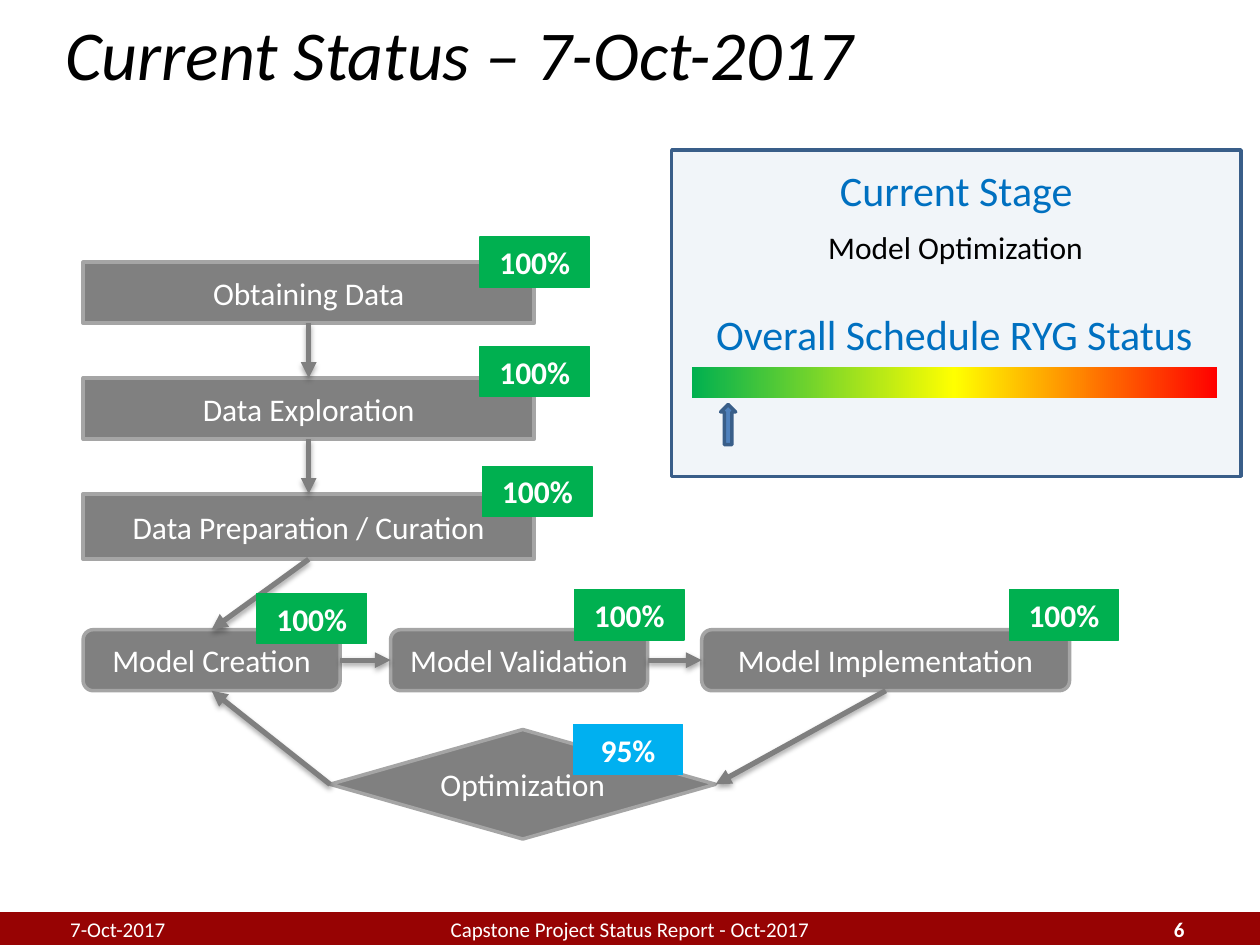
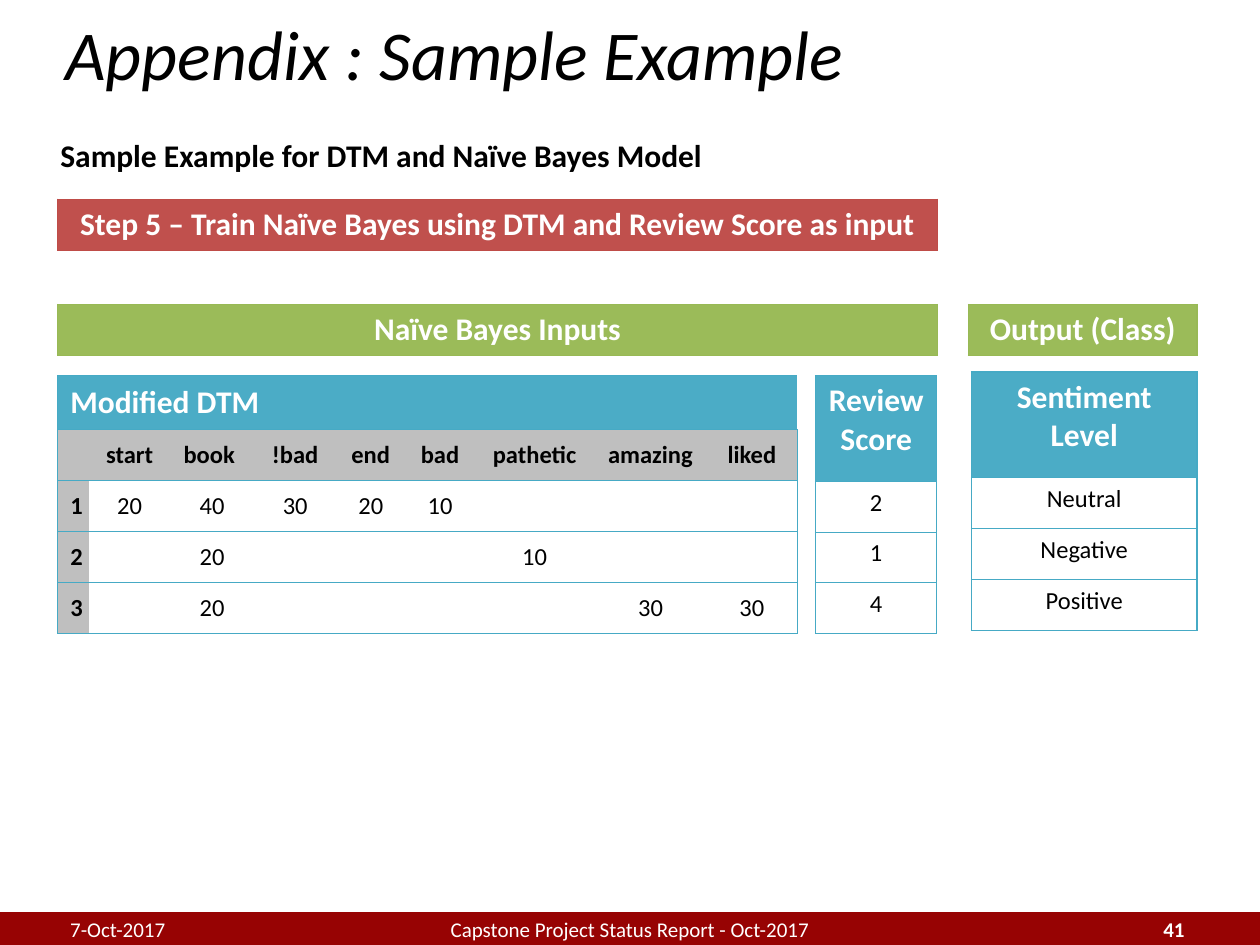
from dataclasses import dataclass

from lxml import etree
from pptx import Presentation
from pptx.dml.color import RGBColor
from pptx.enum.shapes import MSO_CONNECTOR, MSO_SHAPE
from pptx.enum.text import MSO_ANCHOR, PP_ALIGN
from pptx.oxml.ns import qn
from pptx.util import Pt

RECT, ROUND = MSO_SHAPE.RECTANGLE, MSO_SHAPE.ROUNDED_RECTANGLE
DIAMOND, UP_ARROW = MSO_SHAPE.DIAMOND, MSO_SHAPE.UP_ARROW
STRAIGHT = MSO_CONNECTOR.STRAIGHT
LEFT, CENTER, RIGHT = PP_ALIGN.LEFT, PP_ALIGN.CENTER, PP_ALIGN.RIGHT
TOP, MIDDLE = MSO_ANCHOR.TOP, MSO_ANCHOR.MIDDLE
TOP_SIDE, LEFT_SIDE, BOTTOM_SIDE, RIGHT_SIDE = range(4)

FONT = "Calibri"
WHITE, BLACK = "FFFFFF", "000000"
MAROON = "970303"
GREY, GREY_EDGE, ARROW_GREY, LABEL_GREY = "808080", "A5A5A5", "7F7F7F", "BFBFBF"
GREEN, YELLOW, RED, SKY = "00B050", "FFFF00", "FF0000", "00B0F0"
BLUE, BLUE_EDGE, HEADING_BLUE = "4F81BD", "395E89", "0070C0"
BRICK, BRICK_EDGE = "C0504D", "BF4C48"
OLIVE, OLIVE_EDGE = "9BBB59", "98B955"
TEAL, TEAL_EDGE = "4BACC6", "46AAC5"

FOOTER_Y, FOOTER_H = 522, 18
BADGE_W, BADGE_H = 62.6, 28.8


@dataclass
class Stage:
    name: str
    kind: int
    x: float
    y: float
    w: float
    h: float
    badge_x: float
    badge_y: float
    done: str = "100%"
    badge_color: str = GREEN


@dataclass
class Link:
    start: str
    start_side: int
    end: str
    end_side: int


@dataclass
class Grid:
    x: float
    y: float
    cols: list[float]
    rows: list[float]
    cells: list[list[str]]
    fill: str
    edge: str
    labelled: bool = False


STAGES = [
    Stage("Obtaining Data", RECT, 47.5, 149.8, 257.8, 34.9, 274.3, 135.4),
    Stage("Data Exploration", RECT, 47.5, 216, 257.8, 34.9, 274.3, 198),
    Stage("Data Preparation / Curation", RECT, 47.5, 282.2, 257.8, 37.4, 275.8, 266.4),
    Stage("Model Creation", ROUND, 47.5, 359.8, 146.9, 34.9, 146.9, 339.1),
    Stage("Model Validation", ROUND, 223.2, 359.8, 146.9, 34.9, 328.3, 337),
    Stage("Model Implementation", ROUND, 401, 359.8, 210.2, 34.9, 576.7, 337),
    Stage("Optimization", DIAMOND, 188.6, 416.9, 220.3, 62.6, 327.6, 414, "95%", SKY),
]

LINKS = [
    Link("Obtaining Data", BOTTOM_SIDE, "Data Exploration", TOP_SIDE),
    Link("Data Exploration", BOTTOM_SIDE, "Data Preparation / Curation", TOP_SIDE),
    Link("Data Preparation / Curation", BOTTOM_SIDE, "Model Creation", TOP_SIDE),
    Link("Model Creation", RIGHT_SIDE, "Model Validation", LEFT_SIDE),
    Link("Model Validation", RIGHT_SIDE, "Model Implementation", LEFT_SIDE),
    Link("Model Implementation", BOTTOM_SIDE, "Optimization", RIGHT_SIDE),
    Link("Optimization", LEFT_SIDE, "Model Creation", BOTTOM_SIDE),
]

SCORE_ROWS = [60.5] + [29] * 3
GRIDS = [
    Grid(33, 214.6, [18, 46.1, 48.2, 46.8, 39.6, 39.6, 68.4, 64.1, 51.8],
         [31] + [29.15] * 4,
         [["Modified DTM"] + [""] * 8,
          ["", "start", "book ", "!bad", "end", "bad", "pathetic", "amazing", "liked"],
          ["1", "20", "40", "30", "20", "10", "", "", ""],
          ["2", "", "20", "", "", "", "10", "", ""],
          ["3", "", "20", "", "", "", "", "30", "30"]],
         TEAL, TEAL_EDGE, True),
    Grid(33, 113.8, [502.6], [29.2],
         [["Step 5 – Train Naïve Bayes using DTM and Review Score as input"]],
         BRICK, BRICK_EDGE),
    Grid(33, 174, [502.6], [29.2], [["Naïve Bayes Inputs"]], OLIVE, OLIVE_EDGE),
    Grid(553.4, 174, [130.6], [29.2], [["Output (Class)"]], OLIVE, OLIVE_EDGE),
    Grid(466, 214.6, [69.4], SCORE_ROWS,
         [["Review\nScore"], ["2"], ["1"], ["4"]], TEAL, TEAL_EDGE),
    Grid(555.1, 212.6, [128.9], SCORE_ROWS,
         [["Sentiment\nLevel"], ["Neutral"], ["Negative"], ["Positive"]], TEAL, TEAL_EDGE),
]


def rgb(color: str) -> RGBColor:
    return RGBColor.from_string(color)


def add_xml(parent, tag: str, **attrs):
    return etree.SubElement(parent, qn(tag), {k: str(v) for k, v in attrs.items()})


def write(tf, text: str, size: float, color: str, bold=False, italic=False,
          align=CENTER, anchor=MIDDLE) -> None:
    tf.text = text
    tf.word_wrap = True
    tf.vertical_anchor = anchor
    for p in tf.paragraphs:
        p.alignment = align
        for r in p.runs:
            r.font.name, r.font.size = FONT, Pt(size)
            r.font.bold, r.font.italic = bold, italic
            r.font.color.rgb = rgb(color)


def add_box(s, kind, x: float, y: float, w: float, h: float, fill: str,
            edge: str = "", edge_w: float = 2):
    sp = s.shapes.add_shape(kind, Pt(x), Pt(y), Pt(w), Pt(h))
    sp.shadow.inherit = False
    sp.fill.solid()
    sp.fill.fore_color.rgb = rgb(fill)
    if edge:
        sp.line.color.rgb = rgb(edge)
        sp.line.width = Pt(edge_w)
    else:
        sp.line.fill.background()
    return sp


def add_label(s, x: float, y: float, w: float, h: float, text: str, size: float,
              color: str, **style) -> None:
    sp = s.shapes.add_textbox(Pt(x), Pt(y), Pt(w), Pt(h))
    write(sp.text_frame, text, size, color, **style)


def add_titled_slide(prs, title: str, number: str):
    s = prs.slides.add_slide(prs.slide_layouts[5])
    add_box(s, RECT, 0, FOOTER_Y, 720, FOOTER_H, MAROON, MAROON)
    sp = s.shapes.title
    sp.left, sp.top, sp.width, sp.height = Pt(30.2), Pt(0), Pt(666), Pt(59.8)
    write(sp.text_frame, title, 40, BLACK, italic=True, align=LEFT)
    for x, w, text, align, bold in (
        (228, 264, "Capstone Project Status Report - Oct-2017", CENTER, False),
        (516, 168, number, RIGHT, True),
        (33, 168, "7-Oct-2017", LEFT, False),
    ):
        add_label(s, x, FOOTER_Y, w, FOOTER_H, text, 12, WHITE, bold=bold, align=align)
    return s


def add_arrow(s, link: Link, shapes: dict) -> None:
    c = s.shapes.add_connector(STRAIGHT, 0, 0, 0, 0)
    c.begin_connect(shapes[link.start], link.start_side)
    c.end_connect(shapes[link.end], link.end_side)
    c.line.color.rgb = rgb(ARROW_GREY)
    c.line.width = Pt(3)
    sp_pr = c._element.spPr
    add_xml(sp_pr.find(qn("a:ln")), "a:tailEnd", type="triangle")
    shadow = add_xml(add_xml(sp_pr, "a:effectLst"), "a:outerShdw", blurRad=Pt(3.1),
                     dist=Pt(1.8), dir=5400000, rotWithShape=0)
    add_xml(add_xml(shadow, "a:srgbClr", val=BLACK), "a:alpha", val=34000)


def add_status_panel(s) -> None:
    panel = add_box(s, RECT, 383.8, 85.7, 325.4, 186.5, BLUE, BLUE_EDGE)
    color = panel._element.spPr.find(qn("a:solidFill")).find(qn("a:srgbClr"))
    add_xml(color, "a:alpha", val=8000)
    add_label(s, 437, 90.7, 218.9, 36, "Current Stage", 24, HEADING_BLUE, anchor=TOP)
    add_label(s, 396, 126.7, 300, 32.4, "Model Optimization", 18, BLACK, anchor=TOP)
    add_label(s, 395.3, 172.8, 300, 36, "Overall Schedule RYG Status", 24,
              HEADING_BLUE, anchor=TOP)
    scale = add_box(s, RECT, 395.3, 209.5, 300.2, 18, GREEN)
    scale.fill.gradient()
    scale.fill.gradient_angle = 0
    stops = scale._element.spPr.find(qn("a:gradFill")).find(qn("a:gsLst"))
    for stop in list(stops):
        stops.remove(stop)
    for pos, stop_color in ((0, GREEN), (50000, YELLOW), (100000, RED)):
        add_xml(add_xml(stops, "a:gs", pos=pos), "a:srgbClr", val=stop_color)
    add_box(s, UP_ARROW, 411.8, 231.1, 8.6, 23, BLUE, BLUE_EDGE)


def set_borders(cell, edge: str, first: bool, last: bool) -> None:
    tc_pr = cell._tc.get_or_add_tcPr()
    for side, drawn in (("L", first), ("R", last), ("T", True), ("B", True)):
        ln = add_xml(tc_pr, f"a:ln{side}", w=Pt(0.75))
        if drawn:
            add_xml(add_xml(ln, "a:solidFill"), "a:srgbClr", val=edge)
        else:
            add_xml(ln, "a:noFill")


def add_grid(s, grid: Grid) -> None:
    n_cols = len(grid.cols)
    table = s.shapes.add_table(len(grid.rows), n_cols, Pt(grid.x), Pt(grid.y),
                               Pt(sum(grid.cols)), Pt(sum(grid.rows))).table
    table.first_row = table.horz_banding = False
    for col, width in zip(table.columns, grid.cols):
        col.width = Pt(width)
    for row, height in zip(table.rows, grid.rows):
        row.height = Pt(height)
    for i, texts in enumerate(grid.cells):
        for j, text in enumerate(texts):
            cell = table.cell(i, j)
            header = i == 0
            label = grid.labelled and (i == 1 or j == 0)
            write(cell.text_frame, text, 18 if header else 14,
                  WHITE if header else BLACK, bold=header or label,
                  align=LEFT if header and grid.labelled else CENTER)
            cell.vertical_anchor = MIDDLE if grid.labelled else TOP
            set_borders(cell, grid.edge, j == 0, j == n_cols - 1)
            cell.fill.solid()
            cell.fill.fore_color.rgb = rgb(
                grid.fill if header else LABEL_GREY if label else WHITE)
    if n_cols > 1:
        table.cell(0, 0).merge(table.cell(0, n_cols - 1))


def build_status(prs) -> None:
    s = add_titled_slide(prs, "Current Status – 7-Oct-2017", "6")
    add_status_panel(s)
    shapes = {}
    for st in STAGES:
        sp = add_box(s, st.kind, st.x, st.y, st.w, st.h, GREY, GREY_EDGE)
        write(sp.text_frame, st.name, 18, WHITE)
        shapes[st.name] = sp
    for link in LINKS:
        add_arrow(s, link, shapes)
    for st in STAGES:
        badge = add_box(s, RECT, st.badge_x, st.badge_y, BADGE_W, BADGE_H,
                        st.badge_color, st.badge_color, 0.75)
        write(badge.text_frame, st.done, 18, WHITE, bold=True, anchor=TOP)


def build_appendix(prs) -> None:
    s = add_titled_slide(prs, "Appendix : Sample Example", "41")
    add_label(s, 27.4, 74.2, 666, 33.8, "Sample Example for DTM and Naïve Bayes Model",
              18, BLACK, bold=True, align=LEFT, anchor=TOP)
    for grid in GRIDS:
        add_grid(s, grid)


def main() -> None:
    prs = Presentation()
    prs.slide_width, prs.slide_height = Pt(720), Pt(540)
    build_status(prs)
    build_appendix(prs)
    prs.save("out.pptx")


if __name__ == "__main__":
    main()
